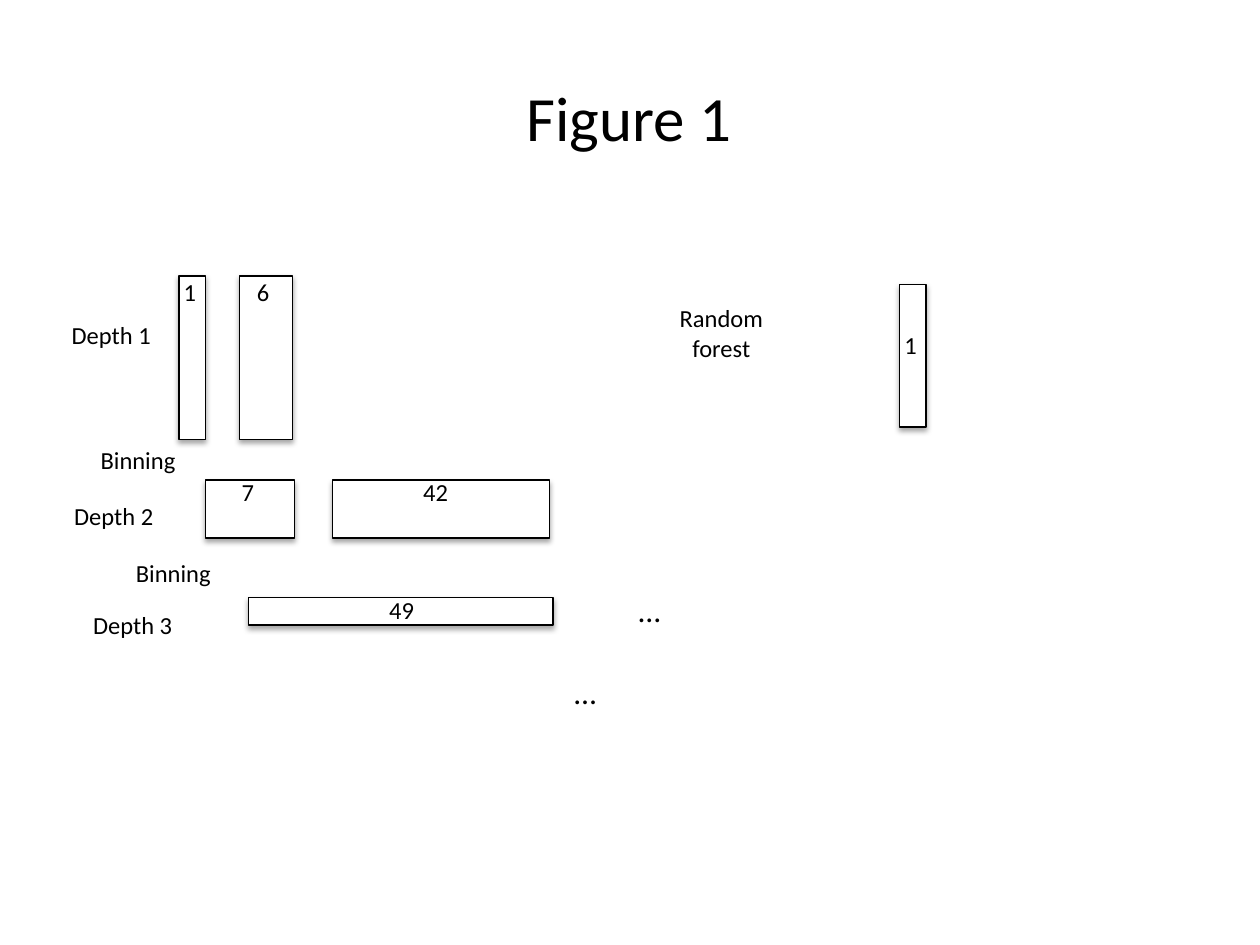
from lxml.etree import SubElement
from pptx import Presentation
from pptx.dml.color import RGBColor
from pptx.enum.shapes import MSO_SHAPE
from pptx.enum.text import MSO_ANCHOR, MSO_AUTO_SIZE, PP_ALIGN
from pptx.oxml.ns import qn
from pptx.util import Emu, Pt

PX = 9144  # 100 px to the inch
COLORS = {"ink": "000000", "paper": "FFFFFF"}
FONT = "Calibri"

deck = Presentation()
deck.slide_width, deck.slide_height = Emu(1000 * PX), Emu(750 * PX)
page = deck.slides.add_slide(deck.slide_layouts[6])


def add_bar(left, top, width, height):
    bar = page.shapes.add_shape(
        MSO_SHAPE.RECTANGLE, *(Emu(n * PX) for n in (left, top, width, height)))
    bar.fill.solid()
    bar.fill.fore_color.rgb = RGBColor.from_string(COLORS["paper"])
    bar.line.color.rgb = RGBColor.from_string(COLORS["ink"])
    bar.line.width = Pt(0.75)
    # Soft shadow straight below the bar
    bar.shadow.inherit = False
    effects = bar._element.spPr.find(qn("a:effectLst"))
    shadow = SubElement(effects, qn("a:outerShdw"), blurRad=str(Pt(3.1)),
                        dist=str(Pt(1.8)), dir="5400000", rotWithShape="0")
    color = SubElement(shadow, qn("a:srgbClr"), val=COLORS["ink"])
    SubElement(color, qn("a:alpha"), val="35000")


def add_text(lines, left, top, width, height, size=14, align=PP_ALIGN.LEFT):
    box = page.shapes.add_textbox(*(Emu(n * PX) for n in (left, top, width, height)))
    frame = box.text_frame
    frame.word_wrap = False
    frame.auto_size = MSO_AUTO_SIZE.SHAPE_TO_FIT_TEXT
    for index, line in enumerate(lines):
        para = frame.paragraphs[0] if index == 0 else frame.add_paragraph()
        para.alignment = align
        span = para.add_run()
        span.text = line
        span.font.name = FONT
        span.font.size = Pt(size)
        span.font.color.rgb = RGBColor.from_string(COLORS["ink"])
    return frame


# Title
title = add_text(["Figure 1"], 49, 30, 900, 125, 36, PP_ALIGN.CENTER)
title.auto_size = MSO_AUTO_SIZE.NONE
title.word_wrap = True
title.vertical_anchor = MSO_ANCHOR.MIDDLE

# Feature bars: depth 1, depth 2, depth 3, random forest
for bar_place in [
    (142, 219, 21, 130), (190, 219, 42, 130),
    (163, 381, 71, 46), (264, 381, 172, 46),
    (197, 474, 242, 22),
    (714, 226, 21, 113),
]:
    add_bar(*bar_place)

# Feature counts
for count, left, top, width in [
    ("1", 136, 215, 30), ("6", 194, 215, 30),
    ("7", 182, 374, 30), ("42", 326, 374, 40),
    ("49", 299, 467, 40),
    ("1", 708, 257, 30),
]:
    add_text([count], left, top, width, 34)

# Depth names
for depth, (left, top) in enumerate([(47, 249), (49, 393), (64, 479)], start=1):
    add_text([f"Depth {depth}"], left, top, 84, 34)

# Binning steps between depths
for left, top in [(70, 348), (98, 438)]:
    add_text(["Binning"], left, top, 80, 34)

# Final classifier
add_text(["Random", "forest"], 529, 236, 87, 57, align=PP_ALIGN.CENTER)

# Continuation dots
for left, top in [(497, 464), (446, 529)]:
    add_text(["…"], left, top, 38, 40, 18)

deck.save("out.pptx")
